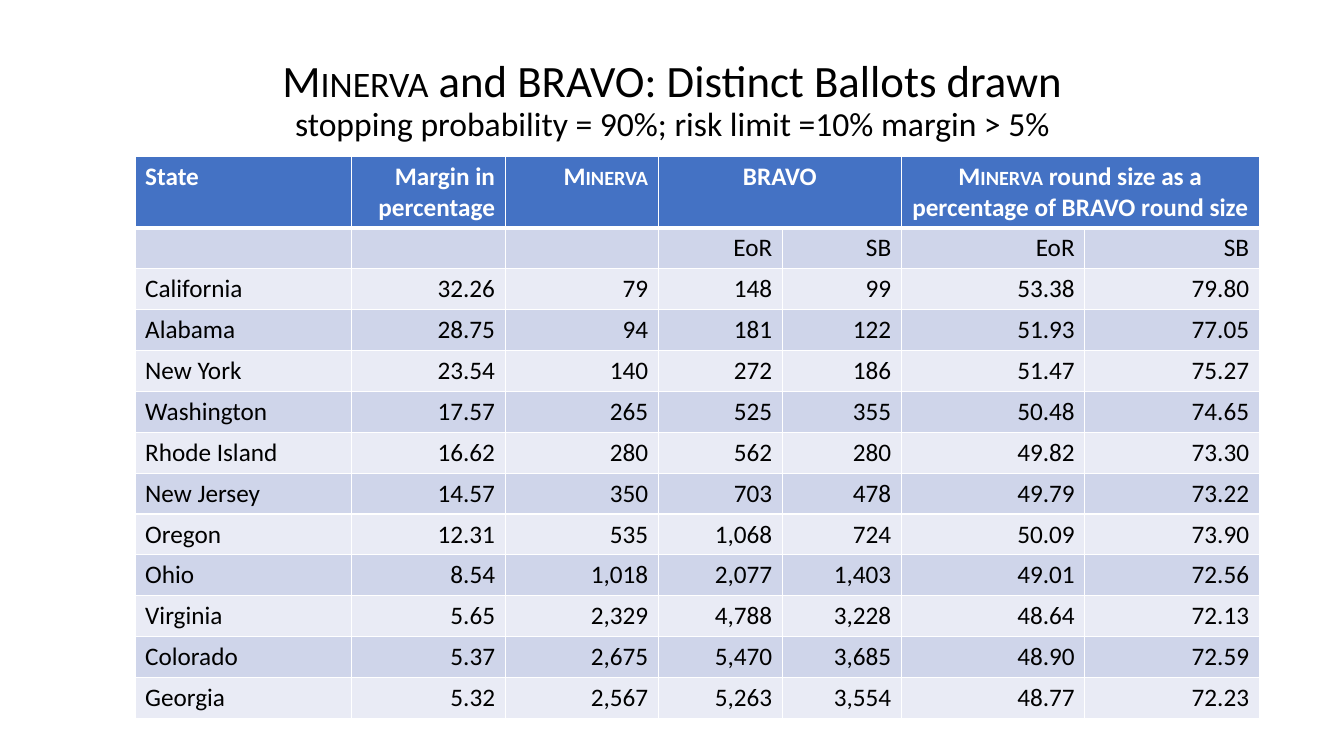
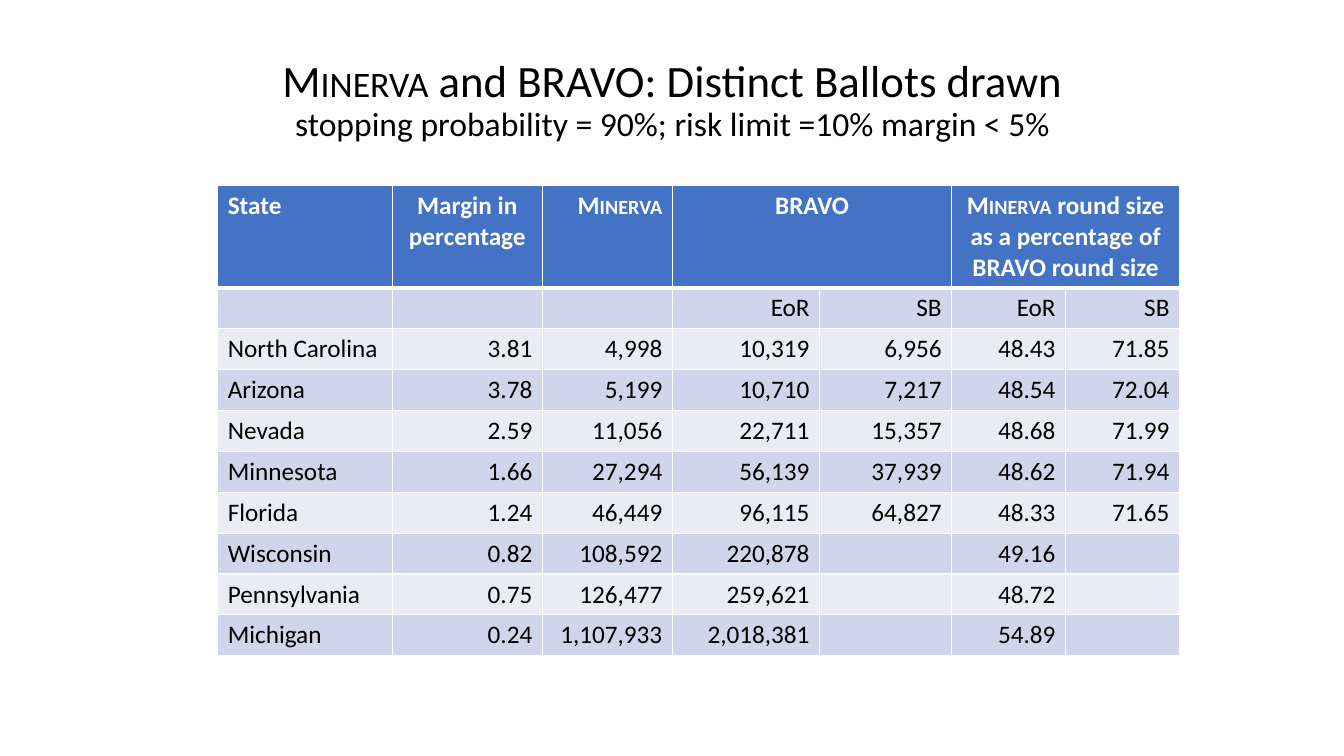
import pptx
import pptx.dml.color
import pptx.enum.text
import pptx.oxml
import pptx.oxml.ns
import pptx.util

PX = 9144
COLORS = {"header": "4472C4", "dark": "CFD5EA", "light": "E9EBF5", "white": "FFFFFF", "black": "000000"}
ALIGN = pptx.enum.text.PP_ALIGN
SMALL_CAPS = "Minerva"
TITLE = "Minerva and BRAVO: Distinct Ballots drawn"
HEADINGS = ["State", "Margin in percentage", "Minerva", "BRAVO", "",
            "Minerva round size as a percentage of BRAVO round size", ""]
SUBHEADINGS = ["", "", "", "EoR", "SB", "EoR", "SB"]

LARGE_MARGINS = [
    ["California", "32.26", "79", "148", "99", "53.38", "79.80"],
    ["Alabama", "28.75", "94", "181", "122", "51.93", "77.05"],
    ["New York", "23.54", "140", "272", "186", "51.47", "75.27"],
    ["Washington", "17.57", "265", "525", "355", "50.48", "74.65"],
    ["Rhode Island", "16.62", "280", "562", "280", "49.82", "73.30"],
    ["New Jersey", "14.57", "350", "703", "478", "49.79", "73.22"],
    ["Oregon", "12.31", "535", "1,068", "724", "50.09", "73.90"],
    ["Ohio", "8.54", "1,018", "2,077", "1,403", "49.01", "72.56"],
    ["Virginia", "5.65", "2,329", "4,788", "3,228", "48.64", "72.13"],
    ["Colorado", "5.37", "2,675", "5,470", "3,685", "48.90", "72.59"],
    ["Georgia", "5.32", "2,567", "5,263", "3,554", "48.77", "72.23"],
]
SMALL_MARGINS = [
    ["North Carolina", "3.81", "4,998", "10,319", "6,956", "48.43", "71.85"],
    ["Arizona", "3.78", "5,199", "10,710", "7,217", "48.54", "72.04"],
    ["Nevada", "2.59", "11,056", "22,711", "15,357", "48.68", "71.99"],
    ["Minnesota", "1.66", "27,294", "56,139", "37,939", "48.62", "71.94"],
    ["Florida", "1.24", "46,449", "96,115", "64,827", "48.33", "71.65"],
    ["Wisconsin", "0.82", "108,592", "220,878", "", "49.16", ""],
    ["Pennsylvania", "0.75", "126,477", "259,621", "", "48.72", ""],
    ["Michigan", "0.24", "1,107,933", "2,018,381", "", "54.89", ""],
]


class Deck:
    """Holds the shared style and the current slide of the ballot tables."""

    def __init__(self):
        self.presentation = pptx.Presentation()
        self.presentation.slide_width = 1333 * PX
        self.presentation.slide_height = 750 * PX
        self.slide = None

    def color(self, name):
        return pptx.dml.color.RGBColor.from_string(COLORS[name])

    def add_slide(self):
        self.slide = self.presentation.slides.add_slide(self.presentation.slide_layouts[5])

    def add_text(self, paragraph, text, size, color="black", bold=False):
        before, marked, after = text.partition(SMALL_CAPS)
        for part in filter(None, (before, marked, after)):
            run = paragraph.add_run()
            run.text = part
            style = {"name": "Calibri", "size": pptx.util.Pt(size), "bold": bold}
            for attribute, value in style.items():
                setattr(run.font, attribute, value)
            run.font.color.rgb = self.color(color)
            if part == SMALL_CAPS:
                run.font._element.set("cap", "small")

    def title(self, subtitle):
        heading = self.slide.shapes.title
        place = {"left": 92, "top": 28, "width": 1150, "height": 145}
        for attribute, value in place.items():
            setattr(heading, attribute, value * PX)
        heading.text_frame.vertical_anchor = pptx.enum.text.MSO_ANCHOR.MIDDLE
        paragraph = heading.text_frame.paragraphs[0]
        paragraph.alignment = ALIGN.CENTER
        paragraph.line_spacing = 0.9
        self.add_text(paragraph, TITLE, 32)
        paragraph.add_line_break()
        self.add_text(paragraph, subtitle, 24)

    def borders(self, cell, row):
        widths = {"lnL": 1, "lnR": 1, "lnT": 3 if row == 1 else 1, "lnB": 3 if row == 0 else 1}
        properties = cell._tc.get_or_add_tcPr()
        for index, (side, width) in enumerate(widths.items()):
            properties.insert(index, pptx.oxml.parse_xml(
                f'<a:{side} {pptx.oxml.ns.nsdecls("a")} w="{pptx.util.Pt(width)}">'
                f'<a:solidFill><a:srgbClr val="{COLORS["white"]}"/></a:solidFill></a:{side}>'))

    def cell(self, cell, row, text, alignment):
        cell.fill.solid()
        cell.fill.fore_color.rgb = self.color("header" if row == 0 else "dark" if row % 2 else "light")
        self.borders(cell, row)
        paragraph = cell.text_frame.paragraphs[0]
        paragraph.alignment = alignment
        self.add_text(paragraph, text, 18, "black" if row else "white", row == 0)

    def table(self, left, top, height, header_height, widths, states, margin_alignment):
        rows = [HEADINGS, SUBHEADINGS] + states
        grid = self.slide.shapes.add_table(
            len(rows), len(widths), left * PX, top * PX, sum(widths) * PX, height * PX).table
        for column, width in zip(grid.columns, widths):
            column.width = width * PX
        row_height = (height - header_height) * PX // (len(rows) - 1)
        heading_alignments = [ALIGN.LEFT, margin_alignment, ALIGN.RIGHT] + [ALIGN.CENTER] * 4
        value_alignments = [ALIGN.LEFT] + [ALIGN.RIGHT] * 6
        for row, texts in enumerate(rows):
            grid.rows[row].height = row_height if row else header_height * PX
            alignments = value_alignments if row else heading_alignments
            for column, (text, alignment) in enumerate(zip(texts, alignments)):
                self.cell(grid.cell(row, column), row, text, alignment)
        for first in (3, 5):
            grid.cell(0, first).merge(grid.cell(0, first + 1))

    def save(self):
        self.presentation.save("out.pptx")


def main():
    deck = Deck()
    deck.add_slide()
    deck.title("stopping probability = 90%; risk limit =10% margin > 5%")
    deck.table(134, 155, 557, 70, [215, 152, 152, 123, 118, 182, 173], LARGE_MARGINS, ALIGN.RIGHT)
    deck.add_slide()
    deck.title("stopping probability = 90%; risk limit =10% margin < 5%")
    deck.table(216, 184, 465, 100, [173, 149, 129, 146, 131, 113, 113], SMALL_MARGINS, ALIGN.CENTER)
    deck.save()


if __name__ == "__main__":
    main()
